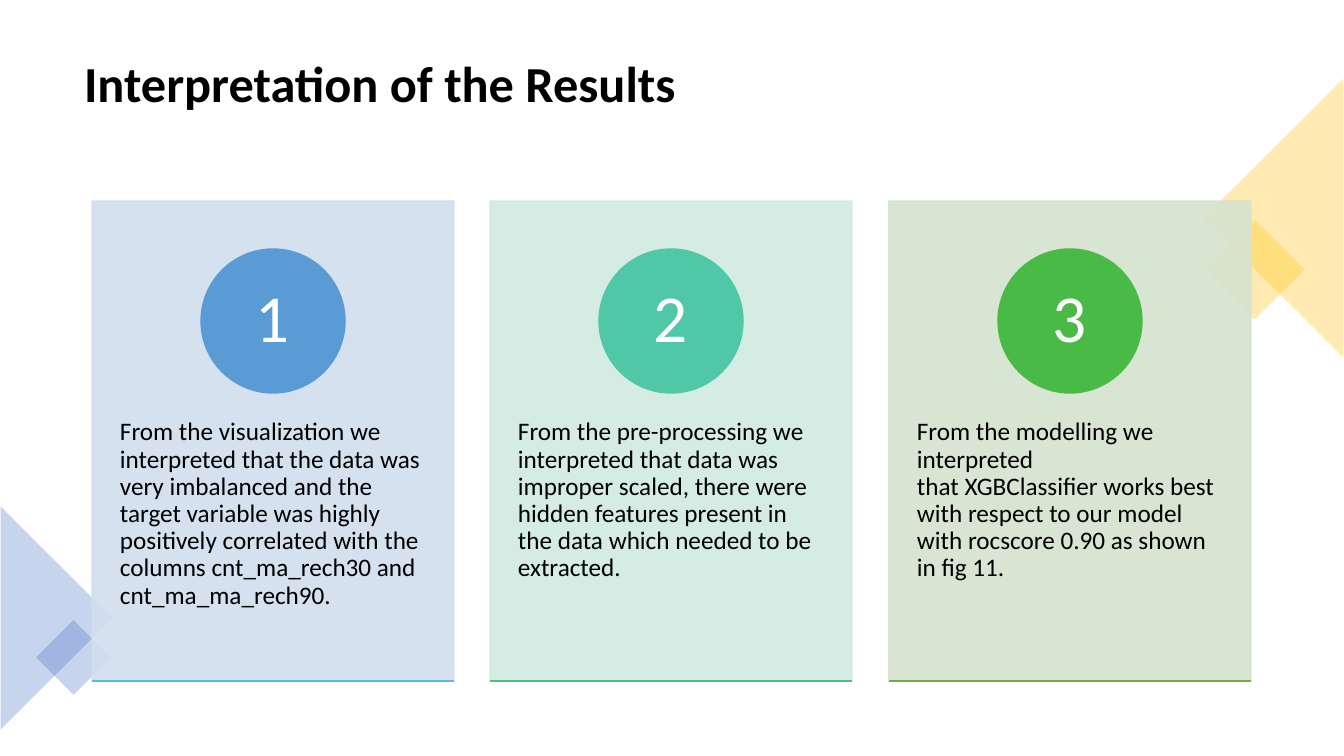
"""Builds the slide with three numbered result cards."""
import pptx
import pptx.util
import pptx.dml.color
import pptx.enum.shapes
import pptx.enum.text
import pptx.oxml.ns
import lxml.etree

SHAPE = pptx.enum.shapes.MSO_SHAPE
ALIGN = pptx.enum.text.PP_ALIGN
ANCHOR = pptx.enum.text.MSO_ANCHOR


def px(n):
    return pptx.util.Emu(round(n * 914400 / 100.8))


def rgb(value):
    return pptx.dml.color.RGBColor.from_string(value)


def assign(obj, values):
    for name, value in values.items():
        setattr(obj, name, value)


class Deck:
    font = "Calibri"
    spacing = 0.9

    def __init__(self, width, height):
        self.prs = pptx.Presentation()
        assign(self.prs, {"slide_width": px(width), "slide_height": px(height)})
        self.s = self.prs.slides.add_slide(self.prs.slide_layouts[5])

    def fill_text(self, sp, text, size, color="000000", bold=False, align=ALIGN.LEFT,
                  anchor=ANCHOR.TOP, inset=(0, 0)):
        tf = sp.text_frame
        x, y = map(px, inset)
        assign(tf, {"word_wrap": True, "auto_size": pptx.enum.text.MSO_AUTO_SIZE.NONE,
                    "vertical_anchor": anchor, "margin_left": x, "margin_right": x,
                    "margin_top": y, "margin_bottom": y})
        p = tf.paragraphs[0]
        assign(p, {"alignment": align, "line_spacing": self.spacing})
        r = p.add_run()
        r.text = text
        assign(r.font, {"name": self.font, "size": pptx.util.Pt(size), "bold": bold})
        r.font.color.rgb = rgb(color)

    def title(self, text, box, **style):
        sp = self.s.shapes.title
        assign(sp, dict(zip(("left", "top", "width", "height"), map(px, box))))
        self.fill_text(sp, text, **style)

    def text(self, text, box, **style):
        self.fill_text(self.s.shapes.add_textbox(*map(px, box)), text, **style)

    def shape(self, kind, box, color, opacity=100, rotation=0, outline=True):
        sp = self.s.shapes.add_shape(kind, *map(px, box))
        sp.shadow.inherit = False
        sp.rotation = rotation
        sp.fill.solid()
        sp.fill.fore_color.rgb = rgb(color)
        if outline:
            sp.line.color.rgb = rgb(color)
            sp.line.width = pptx.util.Pt(1)
        else:
            sp.line.fill.background()
        if opacity < 100:
            for clr in sp._element.spPr.iter(pptx.oxml.ns.qn("a:srgbClr")):
                alpha = lxml.etree.SubElement(clr, pptx.oxml.ns.qn("a:alpha"))
                alpha.set("val", str(opacity * 1000))
        return sp

    def line(self, x1, y1, x2, y2, color):
        c = self.s.shapes.add_connector(
            pptx.enum.shapes.MSO_CONNECTOR.STRAIGHT, *map(px, (x1, y1, x2, y2)))
        c.line.color.rgb = rgb(color)
        c.line.width = pptx.util.Pt(1)
        lxml.etree.SubElement(c._element.spPr, pptx.oxml.ns.qn("a:effectLst"))


DECOR = [
    (SHAPE.RECTANGLE, (1219, 234, 71, 71), "FFC000", 45),
    (SHAPE.ISOSCELES_TRIANGLE, (1134, 148, 279, 140), "FFC000", 270),
    (SHAPE.ISOSCELES_TRIANGLE, (-55, 562, 223, 112), "4472C4", 90),
    (SHAPE.RECTANGLE, (47, 631, 53, 53), "4472C4", 45),
]
CARDS = [
    ("D2DEEF", "5B9BD5", "55C3CF",
     "From the visualization we interpreted that the data was very imbalanced and the "
     "target variable was highly positively correlated with the columns cnt_ma_rech30 "
     "and cnt_ma_ma_rech90."),
    ("D0EAE1", "50C8A7", "4BC174",
     "From the\u00a0pre-processing\u00a0we interpreted that data was improper scaled, "
     "there were hidden features present in the data which needed to be extracted."),
    ("D5E3CF", "4ABA46", "70AD47",
     "From the\u00a0modelling\u00a0we interpreted that\u00a0XGBClassifier\u00a0works best "
     "with respect to our model with\u00a0rocscore\u00a00.90 as shown in fig 11."),
]
LEFT, TOP, WIDTH, HEIGHT, SPAN = 92, 201, 362, 480, 797
CIRCLE = 144

deck = Deck(1344, 756)
deck.title("Interpretation of the Results", (74, 52, 1203, 125), size=36, bold=True,
           inset=(10, 7))
for kind, box, color, rotation in DECOR:
    deck.shape(kind, box, color, 30, rotation, outline=False)

for i, (panel, badge, accent, body) in enumerate(CARDS):
    x = LEFT + SPAN * i // 2
    deck.shape(SHAPE.RECTANGLE, (x, TOP, WIDTH, HEIGHT), panel, 90)
    deck.text(body, (x, 383, WIDTH, 288), size=18, inset=(28, 36))
    circle = deck.shape(SHAPE.OVAL, (x + (WIDTH - CIRCLE) // 2, 249, CIRCLE, CIRCLE), badge)
    deck.fill_text(circle, str(i + 1), 48, "FFFFFF", align=ALIGN.CENTER,
                   anchor=ANCHOR.MIDDLE)
    deck.line(x, TOP + HEIGHT, x + WIDTH, TOP + HEIGHT, accent)

deck.prs.save("out.pptx")
